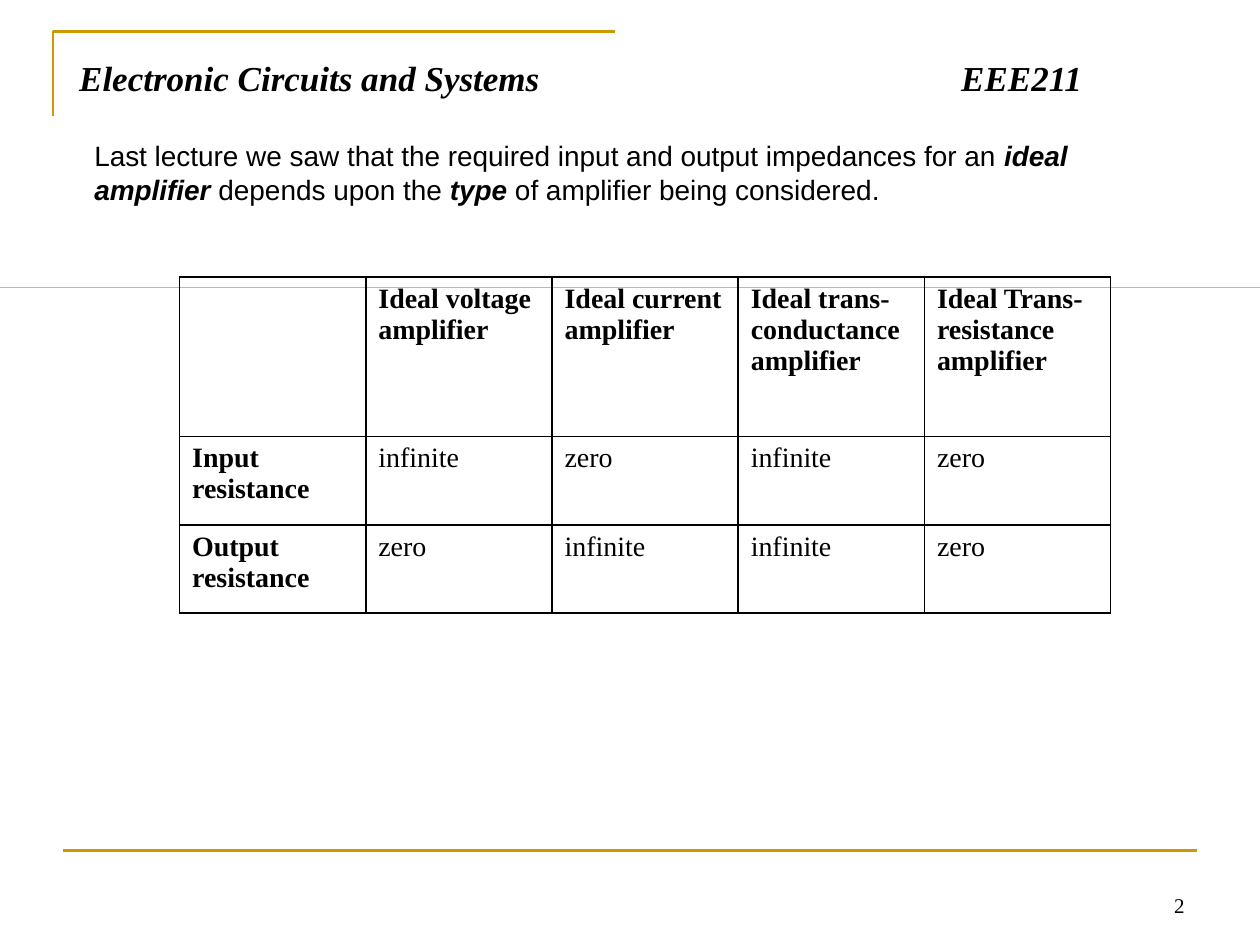
import pptx
import pptx.dml.color
import pptx.enum.shapes
import pptx.enum.text
import pptx.oxml
import pptx.oxml.ns
import pptx.util
import lxml.etree

BLACK = pptx.dml.color.RGBColor(0x00, 0x00, 0x00)
GOLD = pptx.dml.color.RGBColor(0xCC, 0x99, 0x00)
BLUE = pptx.dml.color.RGBColor(0x00, 0x33, 0xCC)
SERIF = "Times New Roman"
SANS = "Arial"

deck = pptx.Presentation()
deck.slide_width = pptx.util.Inches(10)
deck.slide_height = pptx.util.Inches(7.5)
slide = deck.slides.add_slide(deck.slide_layouts[6])
COL = deck.slide_width / 100
ROW = deck.slide_height / 75


def box(left, top, width, height):
    return [round(left * COL), round(top * ROW), round(width * COL), round(height * ROW)]


def add_run(paragraph, text, size, font, bold=False, italic=False):
    run = paragraph.add_run()
    run.text = text
    run.font.size = pptx.util.Pt(size)
    run.font.name = font
    run.font.bold = bold
    run.font.italic = italic
    run.font.color.rgb = BLACK


left, top, right, bottom = box(4.2, 2.5, 48.8, 9.2)
corner_path = slide.shapes.build_freeform(left, bottom)
corner_path.add_line_segments([(left, top), (right, top)], close=False)
corner = corner_path.convert_to_shape()
corner.shadow.inherit = False
corner.fill.background()

footer_rule = slide.shapes.add_connector(
    pptx.enum.shapes.MSO_CONNECTOR.STRAIGHT, *box(5, 67.5, 95, 67.5))
lxml.etree.SubElement(footer_rule._element.spPr, pptx.oxml.ns.qn("a:effectLst"))
for rule in (corner, footer_rule):
    rule.line.color.rgb = GOLD
    rule.line.width = pptx.util.Pt(1.5)

heading = slide.shapes.add_textbox(*box(5.3, 4, 89.2, 6.1)).text_frame
heading.word_wrap = True
heading_line = heading.paragraphs[0]
add_run(heading_line, "Electronic Circuits and Systems\tEEE211", 20, SERIF, True, True)
tab_stops = lxml.etree.SubElement(
    heading_line._p.get_or_add_pPr(), pptx.oxml.ns.qn("a:tabLst"))
lxml.etree.SubElement(tab_stops, pptx.oxml.ns.qn("a:tab"), pos=str(round(70 * COL)), algn="l")

divider = slide.shapes.add_shape(
    pptx.enum.shapes.MSO_SHAPE.RECTANGLE, *box(0, 22.8, 100, 0))
divider.shadow.inherit = False
divider.fill.solid()
divider.fill.fore_color.rgb = BLUE
divider.line.fill.background()

recap = slide.shapes.add_textbox(*box(6.5, 10.5, 84.4, 6.4)).text_frame
recap.word_wrap = True
for text, stressed in [
    ("Last lecture we saw that the required input and output impedances for an ", False),
    ("ideal amplifier", True),
    (" depends upon the ", False),
    ("type", True),
    (" of amplifier being considered.", False),
]:
    add_run(recap.paragraphs[0], text, 16, SANS, stressed, stressed)

resistances = [
    ["", "Ideal voltage\namplifier", "Ideal current\namplifier",
     "Ideal trans-conductance\namplifier", "Ideal Trans-resistance\namplifier"],
    ["Input resistance", "infinite", "zero", "infinite", "zero"],
    ["Output resistance", "zero", "infinite", "infinite", "zero"],
]
table = slide.shapes.add_table(3, 5, *box(14.25, 22, 73.9, 26.6)).table
table.first_row = False
table.horz_banding = False
for column in table.columns:
    column.width = round(14.78 * COL)
for row, height in zip(table.rows, (12.65, 7, 7)):
    row.height = round(height * ROW)

for r, entries in enumerate(resistances):
    for c, entry in enumerate(entries):
        cell = table.cell(r, c)
        for n, text in enumerate(entry.split("\n")):
            frame = cell.text_frame
            paragraph = frame.paragraphs[0] if n == 0 else frame.add_paragraph()
            if text:
                add_run(paragraph, text, 16, SERIF, bold=r == 0 or c == 0)
        cell_format = cell._tc.get_or_add_tcPr()
        for side in ("lnL", "lnR", "lnT", "lnB"):
            cell_format.append(pptx.oxml.parse_xml(
                f'<a:{side} {pptx.oxml.ns.nsdecls("a")} w="12700"><a:solidFill>'
                f'<a:srgbClr val="{BLACK}"/></a:solidFill></a:{side}>'))
        cell.fill.background()

page = slide.shapes.add_textbox(*box(71.7, 68.3, 23.3, 5)).text_frame
page.word_wrap = True
page.vertical_anchor = pptx.enum.text.MSO_ANCHOR.BOTTOM
page.paragraphs[0].alignment = pptx.enum.text.PP_ALIGN.RIGHT
add_run(page.paragraphs[0], "2", 12, SERIF)

deck.save("out.pptx")
